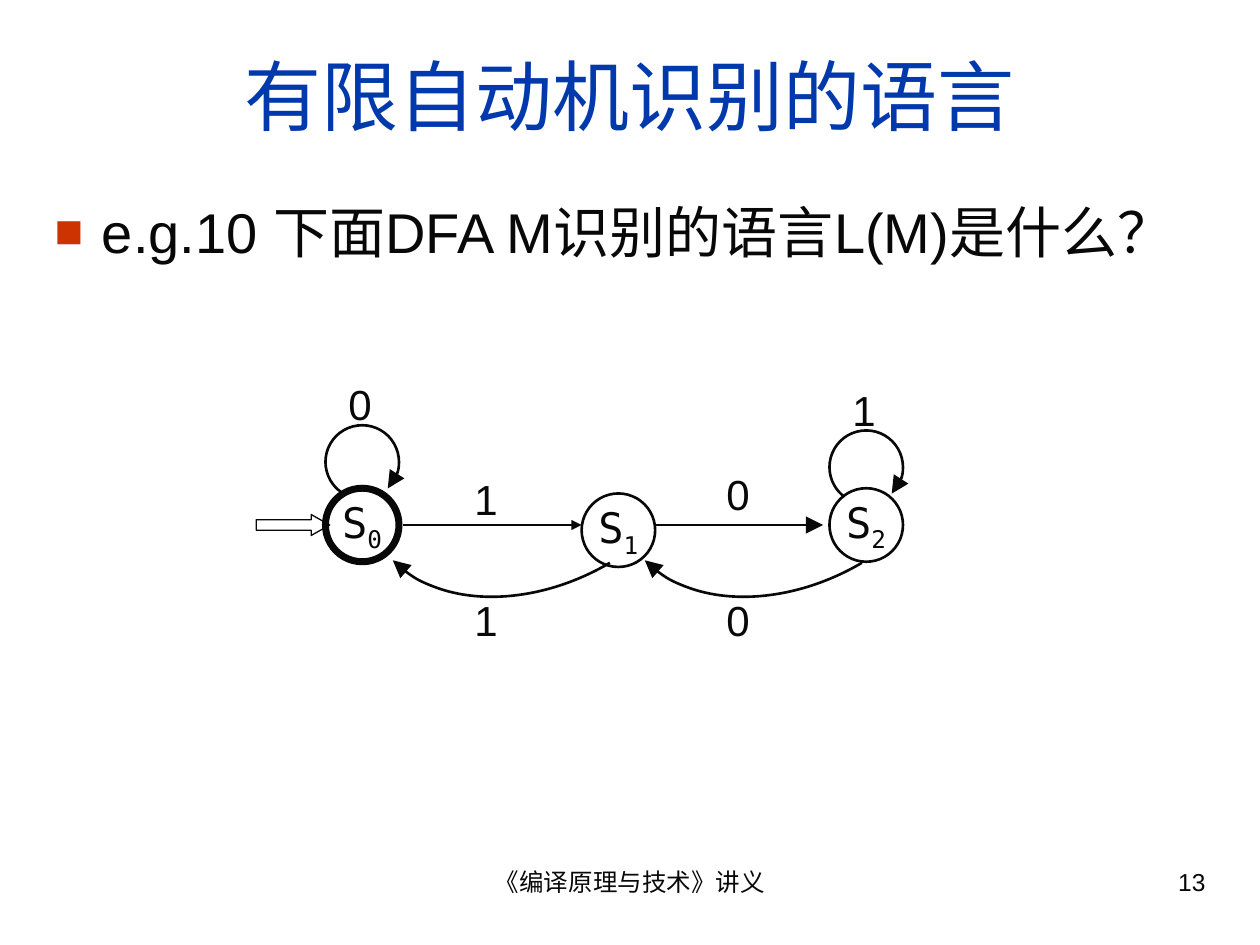
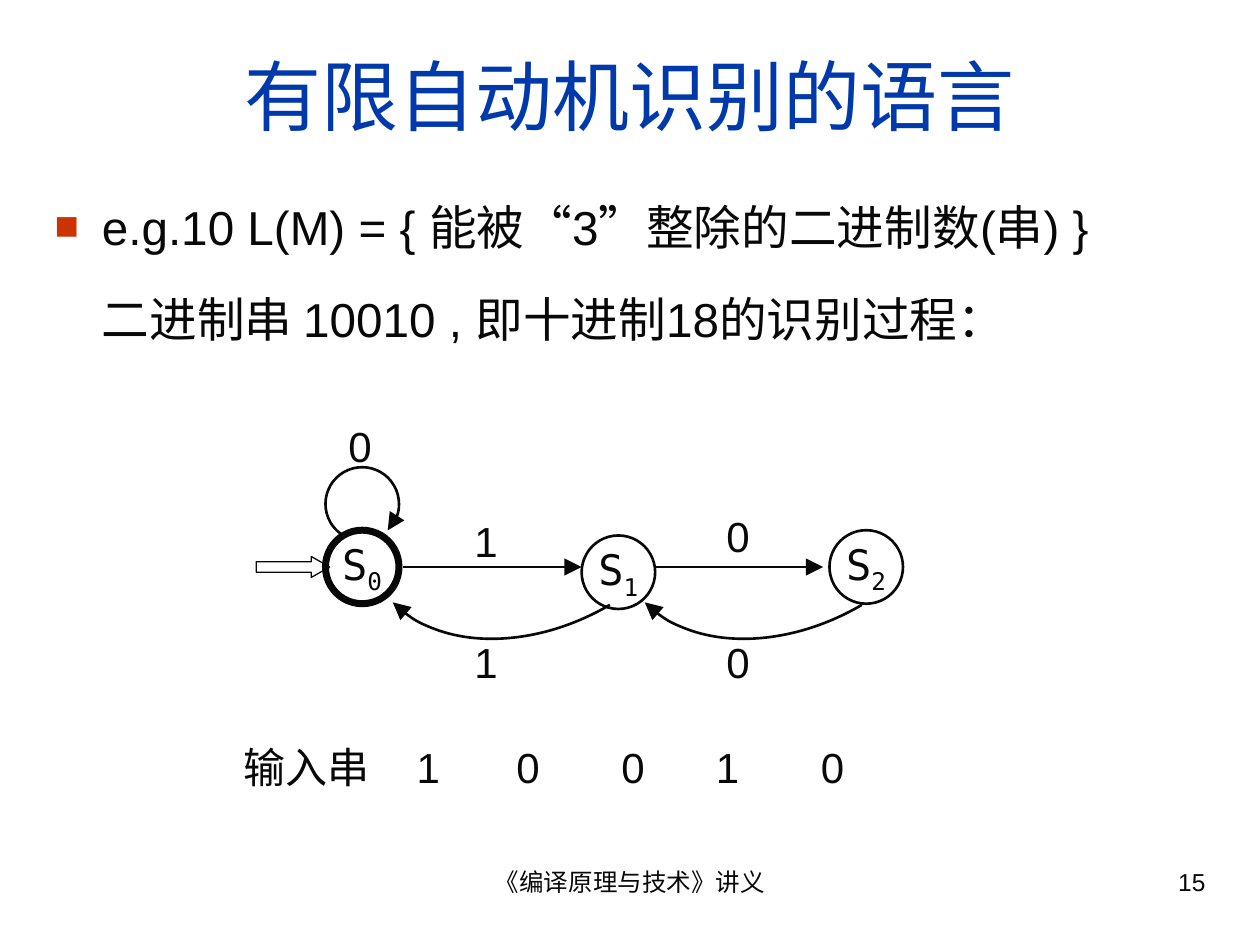
from dataclasses import dataclass
from typing import Any

from lxml import etree
from pptx import Presentation
from pptx.dml.color import RGBColor
from pptx.enum.shapes import MSO_CONNECTOR, MSO_SHAPE
from pptx.enum.text import MSO_ANCHOR, MSO_AUTO_SIZE, PP_ALIGN
from pptx.oxml.ns import qn
from pptx.util import Emu, Pt

PX = 7620
SLIDE_WIDTH, SLIDE_HEIGHT = 1200, 900

INK = RGBColor(0x08, 0x08, 0x08)
TITLE_BLUE = RGBColor(0x00, 0x39, 0xAC)
BULLET_RED = RGBColor(0xCC, 0x33, 0x00)

SANS = "Arial"
MONO = "DejaVu Sans Mono"

LEFT, CENTER, RIGHT = PP_ALIGN.LEFT, PP_ALIGN.CENTER, PP_ALIGN.RIGHT
MIDDLE, TOP = MSO_ANCHOR.MIDDLE, MSO_ANCHOR.TOP
FIXED, GROW = MSO_AUTO_SIZE.NONE, MSO_AUTO_SIZE.SHAPE_TO_FIT_TEXT
ELLIPSE, RIGHT_ARROW, ARC = MSO_SHAPE.OVAL, MSO_SHAPE.RIGHT_ARROW, MSO_SHAPE.ARC
STRAIGHT = MSO_CONNECTOR.STRAIGHT

FOOTER = "《编译原理与技术》讲义"
TITLE = "有限自动机识别的语言"
STATE_SIZE = 70
LOOP_RADIUS = 35
LABEL_WIDTH, LABEL_HEIGHT = 70, 60
ARC_UNITS_PER_DEGREE = 0.6
RETURN_TILT = 149.6
HANGING_INDENT = 45
INPUT_TAB = 165
INPUT_TOP = 700


@dataclass(frozen=True)
class Box:
    left: int
    top: int
    width: int
    height: int

    def emu(self) -> tuple[Emu, ...]:
        return tuple(px(n) for n in (self.left, self.top, self.width, self.height))


@dataclass(frozen=True)
class State:
    index: str
    left: int
    top: int
    outline: float = 1.5


@dataclass(frozen=True)
class Loop:
    symbol: str
    center_x: int
    center_y: int


@dataclass(frozen=True)
class Step:
    symbol: str
    start: int
    end: int
    label_left: int
    label_top: int
    head_size: str = "lg"


@dataclass(frozen=True)
class Return:
    symbol: str
    shift: int


@dataclass(frozen=True)
class BodyLine:
    text: str
    space_before: int
    bulleted: bool


@dataclass(frozen=True)
class Page:
    number: str
    body: tuple[BodyLine, ...]
    body_size: float
    body_height: int
    drop: int
    loops: tuple[Loop, ...]
    steps: tuple[Step, ...]
    input_string: tuple[tuple[str, int, int], ...] = ()


TITLE_BOX = Box(40, 30, 1120, 120)
FOOTER_BOX = Box(410, 820, 380, 62)
NUMBER_BOX = Box(860, 820, 300, 62)
STATES = (State("2", 790, 465), State("1", 554, 470), State("0", 310, 465, 4))
RETURNS = (Return("1", 0), Return("0", 240))
LOOP_0 = Loop("0", 345, 440)
LOOP_2 = Loop("1", 825, 445)
STEP_0_TO_1 = Step("1", 384, 554, 440, 445)
SMALL_STEP_0_TO_1 = Step("1", 384, 554, 440, 445, "med")
STEP_1_TO_2 = Step("0", 624, 784, 680, 440)

PAGES = (
    Page(
        "13",
        (BodyLine("e.g.10 下面DFA M识别的语言L(M)是什么？", 8, True),),
        32, 88, 0, (LOOP_0, LOOP_2), (SMALL_STEP_0_TO_1, STEP_1_TO_2),
    ),
    Page(
        "15",
        (
            BodyLine("e.g.10 L(M) = { 能被“3”整除的二进制数(串) }", 8, True),
            BodyLine("二进制串 10010 , 即十进制18的识别过程：", 20, False),
        ),
        27.2, 188, 40, (LOOP_0,), (STEP_0_TO_1, STEP_1_TO_2),
        (("输入串\t1", 220, 220), ("0", 480, 70), ("0", 580, 70),
         ("1", 670, 80), ("0", 770, 80)),
    ),
)


def px(value: float) -> Emu:
    return Emu(round(value * PX))


def apply(target: Any, values: dict[str, Any]) -> None:
    for name, value in values.items():
        setattr(target, name, value)


def add_run(paragraph: Any, text: str, size: float, font: str = SANS,
            color: RGBColor = INK) -> Any:
    run = paragraph.add_run()
    run.text = text
    apply(run.font, {"name": font, "size": Pt(size)})
    run.font.color.rgb = color
    return run


def add_child(parent: Any, tag: str, **attributes: str) -> Any:
    return etree.SubElement(parent, qn(tag), attributes)


def add_text(slide: Any, box: Box, text: str, size: float, align: Any = LEFT,
             space_before: int = 0, fit: Any = FIXED) -> Any:
    frame = slide.shapes.add_textbox(*box.emu()).text_frame
    apply(frame, {"word_wrap": True, "auto_size": fit})
    paragraph = frame.paragraphs[0]
    apply(paragraph, {"alignment": align, "space_before": Pt(space_before)})
    add_run(paragraph, text, size)
    return paragraph


def add_symbol(slide: Any, text: str, left: int, top: int,
               width: int = LABEL_WIDTH) -> Any:
    return add_text(slide, Box(left, top, width, LABEL_HEIGHT), text, 24,
                    space_before=15, fit=GROW)


def outline(shape: Any, width: float) -> None:
    shape.line.color.rgb = INK
    shape.line.width = Pt(width)


def add_outlined(slide: Any, kind: Any, box: Box, width: float) -> Any:
    shape = slide.shapes.add_shape(kind, *box.emu())
    shape.shadow.inherit = False
    shape.fill.background()
    outline(shape, width)
    return shape


def add_arrowhead(shape: Any, size: str = "lg") -> None:
    add_child(shape.line._get_or_add_ln(), "a:tailEnd", type="triangle", w=size, len=size)


def add_arc(slide: Any, box: Box, start: float, end: float, tilt: float = 0) -> None:
    arc = add_outlined(slide, ARC, box, 1.5)
    for i, angle in enumerate((start, end)):
        arc.adjustments[i] = angle * ARC_UNITS_PER_DEGREE
    arc.rotation = tilt
    add_arrowhead(arc)


def draw_state(slide: Any, state: State, drop: int) -> None:
    circle = add_outlined(
        slide, ELLIPSE,
        Box(state.left, state.top + drop, STATE_SIZE, STATE_SIZE), state.outline)
    apply(circle.text_frame, {"word_wrap": False, "vertical_anchor": MIDDLE})
    name = circle.text_frame.paragraphs[0]
    name.alignment = CENTER
    add_run(name, "S", 24, MONO)
    subscript = add_run(name, state.index, 24, MONO)
    subscript._r.get_or_add_rPr().set("baseline", "-25000")


def draw_loop(slide: Any, loop: Loop, drop: int) -> None:
    center_y = loop.center_y + drop
    add_arc(slide, Box(loop.center_x - LOOP_RADIUS, center_y - LOOP_RADIUS,
                       2 * LOOP_RADIUS, 2 * LOOP_RADIUS), 126, 46)
    add_symbol(slide, loop.symbol, loop.center_x - 25, center_y - 85)


def draw_step(slide: Any, step: Step, drop: int) -> None:
    y = px(500 + drop)
    arrow = slide.shapes.add_connector(STRAIGHT, px(step.start), y, px(step.end), y)
    outline(arrow, 1.5)
    add_arrowhead(arrow, step.head_size)
    add_child(arrow._element.spPr, "a:effectLst")
    add_symbol(slide, step.symbol, step.label_left, step.label_top + drop)


def draw_return(slide: Any, back: Return, drop: int) -> None:
    add_arc(slide, Box(335 + back.shift, 294 + drop, 360, 260), 270, 352.5, RETURN_TILT)
    add_symbol(slide, back.symbol, 440 + back.shift, 560 + drop)


def draw_automaton(slide: Any, page: Page) -> None:
    entry = add_outlined(slide, RIGHT_ARROW, Box(244, 490 + page.drop, 70, 20), 0.75)
    entry.adjustments[1] = 0.88
    for state in STATES:
        draw_state(slide, state, page.drop)
    for step in page.steps:
        draw_step(slide, step, page.drop)
    for loop in page.loops:
        draw_loop(slide, loop, page.drop)
    for back in RETURNS:
        draw_return(slide, back, page.drop)


def place(placeholder: Any, box: Box, anchor: Any) -> Any:
    apply(placeholder, dict(zip(("left", "top", "width", "height"), box.emu())))
    frame = placeholder.text_frame
    apply(frame, {"word_wrap": True, "auto_size": FIXED, "vertical_anchor": anchor})
    return frame


def write_title(slide: Any) -> None:
    paragraph = place(slide.shapes.title, TITLE_BOX, MIDDLE).paragraphs[0]
    paragraph.alignment = CENTER
    add_run(paragraph, TITLE, 44, color=TITLE_BLUE)


def write_body(slide: Any, page: Page) -> None:
    frame = place(slide.placeholders[1], Box(40, 182, 1120, page.body_height), TOP)
    for i, line in enumerate(page.body):
        paragraph = frame.add_paragraph() if i else frame.paragraphs[0]
        apply(paragraph, {"alignment": LEFT, "space_before": Pt(line.space_before)})
        add_run(paragraph, line.text, page.body_size)
        properties = paragraph._p.get_or_add_pPr()
        properties.set("marL", str(px(HANGING_INDENT)))
        properties.set("indent", str(px(-HANGING_INDENT if line.bulleted else 0)))
        properties.set("hangingPunct", "0")
        if line.bulleted:
            add_child(add_child(properties, "a:buClr"), "a:srgbClr", val=str(BULLET_RED))
            add_child(properties, "a:buSzPct", val="85000")
            add_child(properties, "a:buFont", typeface=SANS)
            add_child(properties, "a:buChar", char="■")
        else:
            add_child(properties, "a:buNone")


def write_input(slide: Any, page: Page) -> None:
    for text, left, width in page.input_string:
        paragraph = add_symbol(slide, text, left, INPUT_TOP, width)
        if "\t" in text:
            tabs = add_child(paragraph._p.get_or_add_pPr(), "a:tabLst")
            add_child(tabs, "a:tab", pos=str(px(INPUT_TAB)), algn="l")


def main() -> None:
    deck = Presentation()
    apply(deck, {"slide_width": px(SLIDE_WIDTH), "slide_height": px(SLIDE_HEIGHT)})
    for page in PAGES:
        slide = deck.slides.add_slide(deck.slide_layouts[1])
        add_text(slide, FOOTER_BOX, FOOTER, 14, CENTER)
        add_text(slide, NUMBER_BOX, page.number, 14, RIGHT)
        write_title(slide)
        write_body(slide, page)
        draw_automaton(slide, page)
        write_input(slide, page)
    deck.save("out.pptx")


if __name__ == "__main__":
    main()
